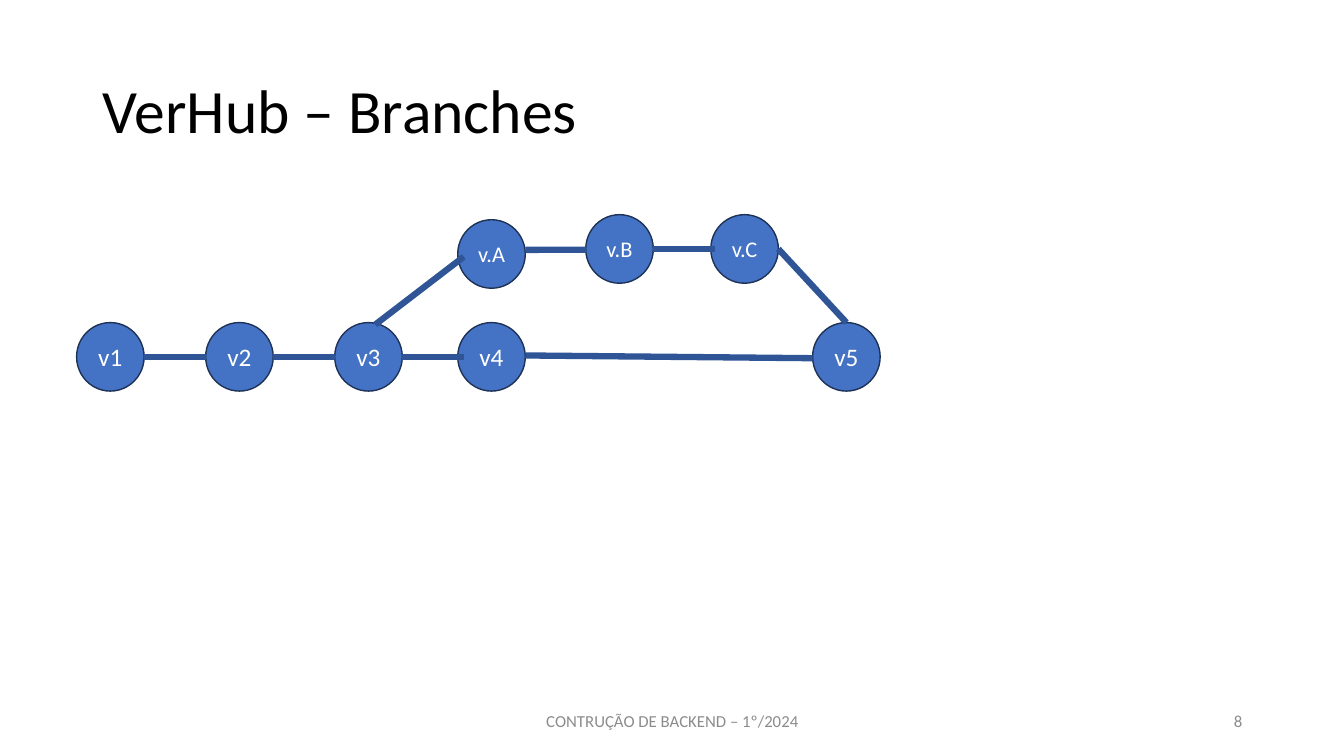
from lxml import etree
from pptx import Presentation
from pptx.dml.color import RGBColor
from pptx.enum.shapes import MSO_CONNECTOR, MSO_SHAPE
from pptx.enum.text import MSO_ANCHOR, PP_ALIGN
from pptx.oxml.ns import qn
from pptx.util import Inches, Pt

LEFT, CENTER, RIGHT = PP_ALIGN.LEFT, PP_ALIGN.CENTER, PP_ALIGN.RIGHT
MIDDLE = MSO_ANCHOR.MIDDLE
OVAL = MSO_SHAPE.OVAL
STRAIGHT = MSO_CONNECTOR.STRAIGHT

BLACK = RGBColor(0x00, 0x00, 0x00)
WHITE = RGBColor(0xFF, 0xFF, 0xFF)
GRAY = RGBColor(0x8C, 0x8C, 0x8C)
BLUE = RGBColor(0x44, 0x72, 0xC4)
DARK_BLUE = RGBColor(0x2F, 0x55, 0x97)
NAVY = RGBColor(0x1E, 0x32, 0x56)

FONT = "Calibri"
TITLE_BOX = (0.92, 0.4, 11.5, 1.45)
GRAPH_BOX = (0.76, 2.13, 7.97, 1.75)
FOOTER_BOX = (4.42, 6.95, 8, 0.4)
COMMIT_WIDTH, COMMIT_HEIGHT = 0.67, 0.68

MAIN_TOP = 1.07
COMMITS = {
    "v1": (0, MAIN_TOP, 18),
    "v2": (1.28, MAIN_TOP, 18),
    "v3": (2.56, MAIN_TOP, 18),
    "v4": (3.78, MAIN_TOP, 18),
    "v5": (7.3, MAIN_TOP, 18),
    "v.A": (3.78, 0.05, 16),
    "v.B": (5.05, 0, 16),
    "v.C": (6.29, 0, 16),
}
LINKS = [
    ("v1", (1, 0.5), "v2", (0, 0.5)),
    ("v2", (1, 0.5), "v3", (0, 0.5)),
    ("v3", (1, 0.5), "v4", (0.09, 0.5)),
    ("v3", (0.6, 0.03), "v.A", (0.09, 0.54)),
    ("v.A", (1, 0.44), "v.B", (0.01, 0.51)),
    ("v.B", (1, 0.5), "v.C", (0.06, 0.5)),
    ("v4", (1, 0.48), "v5", (0, 0.52)),
    ("v.C", (1, 0.5), "v5", (0.5, 0)),
]


def write_text(shape, text, size, color, align=LEFT, spacing=None):
    frame = shape.text_frame
    frame.word_wrap = True
    frame.vertical_anchor = MIDDLE
    para = frame.paragraphs[0]
    para.alignment = align
    if spacing:
        para.line_spacing = spacing
    span = para.add_run()
    span.text = text
    span.font.name = FONT
    span.font.size = Pt(size)
    span.font.color.rgb = color


def add_title(page, box, text):
    title = page.shapes.title
    title.left, title.top, title.width, title.height = map(Inches, box)
    write_text(title, text, size=44, color=BLACK, spacing=0.9)


def add_commit(page, box, label, size):
    commit = page.shapes.add_shape(OVAL, *map(Inches, box))
    commit.shadow.inherit = False
    commit.fill.solid()
    commit.fill.fore_color.rgb = BLUE
    commit.line.color.rgb = NAVY
    commit.line.width = Pt(1)
    frame = commit.text_frame
    frame.margin_left = frame.margin_right = 0
    frame.margin_top = frame.margin_bottom = 0
    write_text(commit, label, size=size, color=WHITE, align=CENTER)


def add_link(page, start, end):
    link = page.shapes.add_connector(STRAIGHT, *map(Inches, start + end))
    link.line.color.rgb = DARK_BLUE
    link.line.width = Pt(4.5)
    etree.SubElement(link._element.spPr, qn("a:effectLst"))


def add_branch_graph(page, box):
    left, top = box[:2]

    def point_on(label, share):
        column, row, _ = COMMITS[label]
        return (left + column + share[0] * COMMIT_WIDTH,
                top + row + share[1] * COMMIT_HEIGHT)

    for label, (column, row, size) in COMMITS.items():
        commit_box = (left + column, top + row, COMMIT_WIDTH, COMMIT_HEIGHT)
        add_commit(page, commit_box, label, size)
    for first, first_share, second, second_share in LINKS:
        add_link(page, point_on(first, first_share), point_on(second, second_share))


def add_footer(page, box, course, number):
    left, top, width, height = box
    parts = [(course, 0, 4.5, CENTER), (number, width - 3, 3, RIGHT)]
    for text, offset, part_width, align in parts:
        part = page.shapes.add_textbox(
            *map(Inches, (left + offset, top, part_width, height)))
        write_text(part, text, size=12, color=GRAY, align=align)


def main():
    deck = Presentation()
    deck.slide_width, deck.slide_height = Inches(13.33), Inches(7.5)
    page = deck.slides.add_slide(deck.slide_layouts[5])
    add_title(page, TITLE_BOX, "VerHub – Branches")
    add_branch_graph(page, GRAPH_BOX)
    add_footer(page, FOOTER_BOX, "CONTRUÇÃO DE BACKEND – 1º/2024", "8")
    deck.save("out.pptx")


if __name__ == "__main__":
    main()
